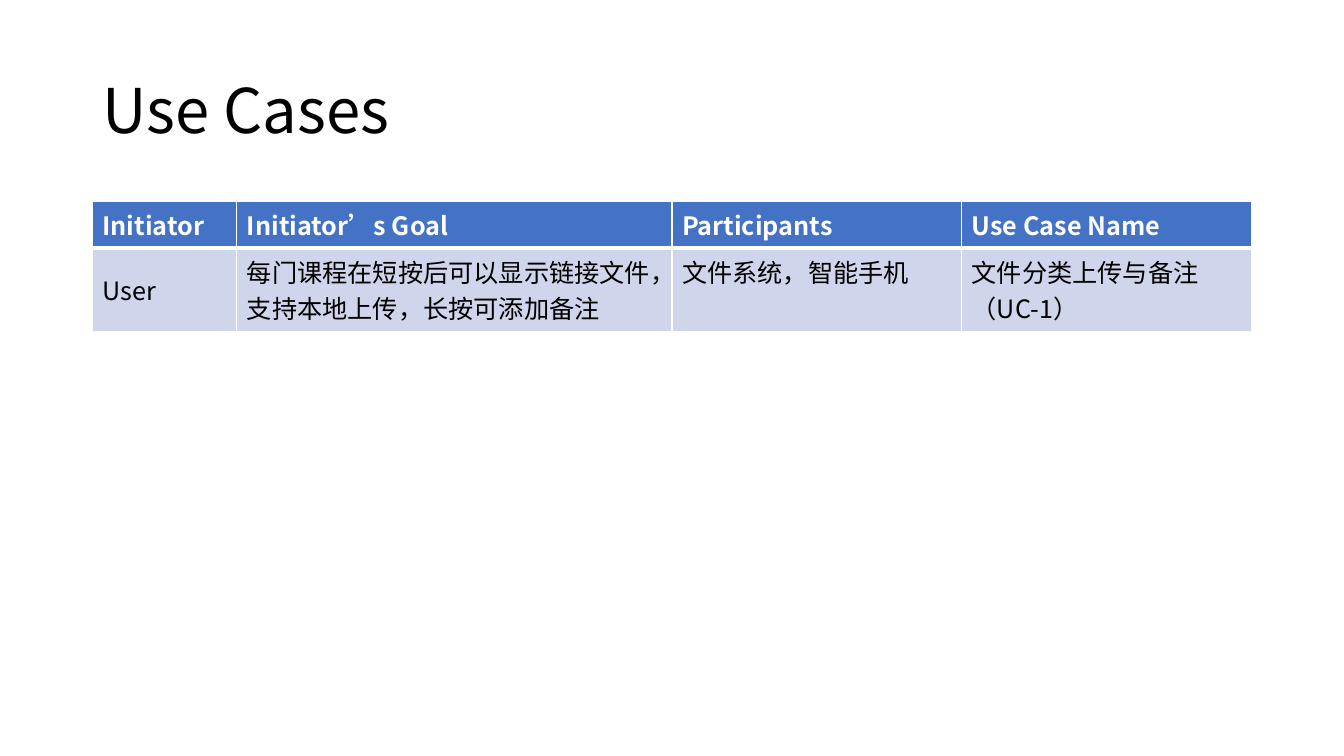
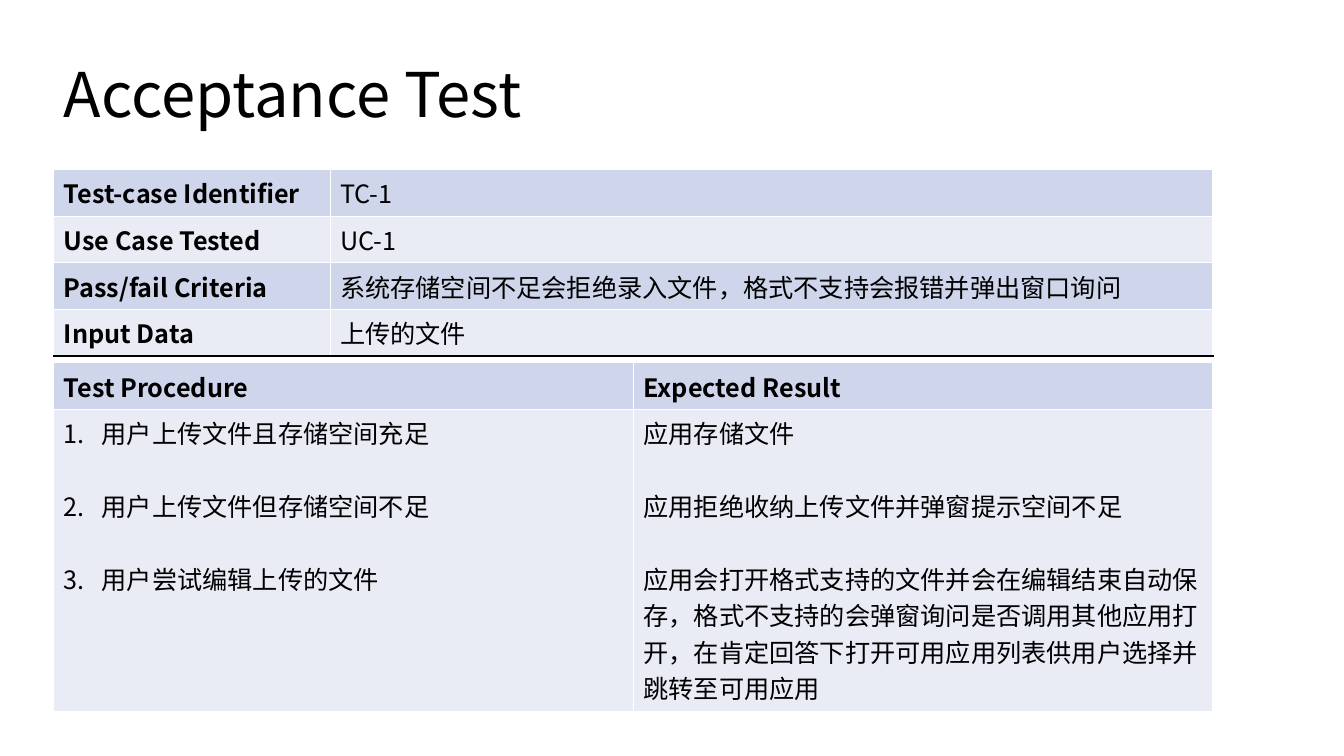
"""Build the use case and acceptance test slides."""
from dataclasses import dataclass

from lxml.etree import SubElement as Sub
from pptx import Presentation
from pptx.dml.color import RGBColor as Rgb
from pptx.enum.text import MSO_ANCHOR as Anchor, MSO_AUTO_SIZE as Fit, PP_ALIGN as Align
from pptx.oxml.ns import qn
from pptx.util import Emu, Pt


@dataclass(frozen=True)
class Theme:
    font: str = "Noto Sans CJK SC"
    ink: str = "000000"
    paper: str = "FFFFFF"
    head: str = "4472C4"
    dark: str = "CFD5EA"
    light: str = "E9EBF5"
    title: int = 44
    text: int = 18
    gap: int = 26
    lead: float = 0.9
    thin: int = 1
    thick: int = 3


@dataclass(frozen=True)
class Grid:
    cols: int = 160
    rows: int = 90
    unit: int = 76200

    def span(self, count: float) -> Emu:
        return Emu(round(count * self.unit))


@dataclass(frozen=True)
class Cell:
    lines: tuple[str, ...]
    bold: bool = False
    mid: bool = False
    listed: bool = False


@dataclass(frozen=True)
class Row:
    cells: tuple[Cell, ...]
    fill: str
    tall: float = 4.9
    ink: str = "000000"
    edge: str = "FFFFFF"
    rule: int = 1


@dataclass(frozen=True)
class Table:
    top: float
    cols: tuple[float, ...]
    rows: tuple[Row, ...]


@dataclass(frozen=True)
class Page:
    title: str
    left: float
    top: float
    tables: tuple[Table, ...]


LOOK = Theme()
GRID = Grid()
WIDE, HIGH, INDENT = 138, 17.4, 4.5


def add_run(para, text: str, size: int, ink: str, bold: bool = False) -> None:
    run = para.add_run()
    run.text = text
    font = run.font
    font.size, font.bold, font.name = Pt(size), bold, LOOK.font
    font.color.rgb = Rgb.from_string(ink)
    Sub(run._r.get_or_add_rPr(), qn("a:ea"), typeface=LOOK.font)


def add_edge(props, side: str, ink: str, width: int) -> None:
    line = Sub(props, qn(f"a:ln{side}"), w=str(Pt(width)))
    Sub(Sub(line, qn("a:solidFill")), qn("a:srgbClr"), val=ink)


def add_number(para) -> None:
    props = para._p.get_or_add_pPr()
    inset = GRID.span(INDENT)
    props.set("marL", str(inset))
    props.set("indent", str(-inset))
    Sub(props, qn("a:buFont"), typeface=LOOK.font)
    Sub(props, qn("a:buAutoNum"), type="arabicPeriod")


def fill_cell(box, cell: Cell, row: Row) -> None:
    props = box._tc.get_or_add_tcPr()
    for side in "LRT":
        add_edge(props, side, LOOK.paper, LOOK.thin)
    add_edge(props, "B", row.edge, row.rule)
    box.fill.solid()
    box.fill.fore_color.rgb = Rgb.from_string(row.fill)
    box.vertical_anchor = Anchor.MIDDLE if cell.mid else Anchor.TOP
    frame = box.text_frame
    for spot, line in enumerate(cell.lines):
        para = frame.add_paragraph() if spot else frame.paragraphs[0]
        para.space_before = Pt(LOOK.gap if spot else 0)
        if cell.listed:
            add_number(para)
        add_run(para, line, LOOK.text, row.ink, cell.bold)


def add_grid(slide, left: float, plan: Table) -> None:
    tall = sum(row.tall for row in plan.rows)
    area = map(GRID.span, (left, plan.top, WIDE, tall))
    table = slide.shapes.add_table(len(plan.rows), len(plan.cols), *area).table
    table.first_row = table.horz_banding = False
    for col, wide in zip(table.columns, plan.cols):
        col.width = GRID.span(wide)
    for line, row in zip(table.rows, plan.rows):
        line.height = GRID.span(row.tall)
        for box, cell in zip(line.cells, row.cells):
            fill_cell(box, cell, row)


def add_page(deck, page: Page) -> None:
    slide = deck.slides.add_slide(deck.slide_layouts[5])
    title = slide.shapes.title
    title.left, title.top, title.width, title.height = map(
        GRID.span, (page.left, page.top, WIDE, HIGH))
    frame = title.text_frame
    frame.word_wrap, frame.auto_size = True, Fit.NONE
    frame.vertical_anchor = Anchor.MIDDLE
    para = frame.paragraphs[0]
    para.alignment, para.line_spacing = Align.LEFT, LOOK.lead
    add_run(para, page.title, LOOK.title, LOOK.ink)
    for plan in page.tables:
        add_grid(slide, page.left, plan)


def heads(*names: str) -> tuple[Cell, ...]:
    return tuple(Cell((name,), bold=True) for name in names)


def fact(name: str, text: str) -> tuple[Cell, ...]:
    return Cell((name,), bold=True), Cell((text,))


CASES = Table(24, (17.2, 51.8, 34.5, 34.5), (
    Row(heads("Initiator", "Initiator’s Goal", "Participants", "Use Case Name"),
        LOOK.head, ink=LOOK.paper, rule=LOOK.thick),
    Row((Cell(("User",), mid=True),
         Cell(("每门课程在短按后可以显示链接文件，支持本地上传，长按可添加备注",), mid=True),
         Cell(("文件系统，智能手机",)),
         Cell(("文件分类上传与备注（UC-1）",), mid=True)), LOOK.dark, tall=8.4),
))
FACTS = Table(20.2, (32.9, 105.1), (
    Row(fact("Test-case Identifier", "TC-1"), LOOK.dark),
    Row(fact("Use Case Tested", "UC-1"), LOOK.light),
    Row(fact("Pass/fail Criteria",
             "系统存储空间不足会拒绝录入文件，格式不支持会报错并弹出窗口询问"), LOOK.dark),
    Row(fact("Input Data", "上传的文件"), LOOK.light, edge=LOOK.ink),
))
STEPS = Table(43.2, (WIDE / 2,) * 2, (
    Row(heads("Test Procedure", "Expected Result"), LOOK.dark),
    Row((Cell(("用户上传文件且存储空间充足",
               "用户上传文件但存储空间不足",
               "用户尝试编辑上传的文件"), listed=True),
         Cell(("应用存储文件",
               "应用拒绝收纳上传文件并弹窗提示空间不足",
               "应用会打开格式支持的文件并会在编辑结束自动保存，"
               "格式不支持的会弹窗询问是否调用其他应用打开，"
               "在肯定回答下打开可用应用列表供用户选择并跳转至可用应用"))),
        LOOK.light, tall=30),
))
PAGES = (
    Page("Use Cases", 11, 4.8, (CASES,)),
    Page("Acceptance Test", 6.4, 2.9, (FACTS, STEPS)),
)


def main() -> None:
    deck = Presentation()
    deck.slide_width, deck.slide_height = GRID.span(GRID.cols), GRID.span(GRID.rows)
    for page in PAGES:
        add_page(deck, page)
    deck.save("out.pptx")


main()
